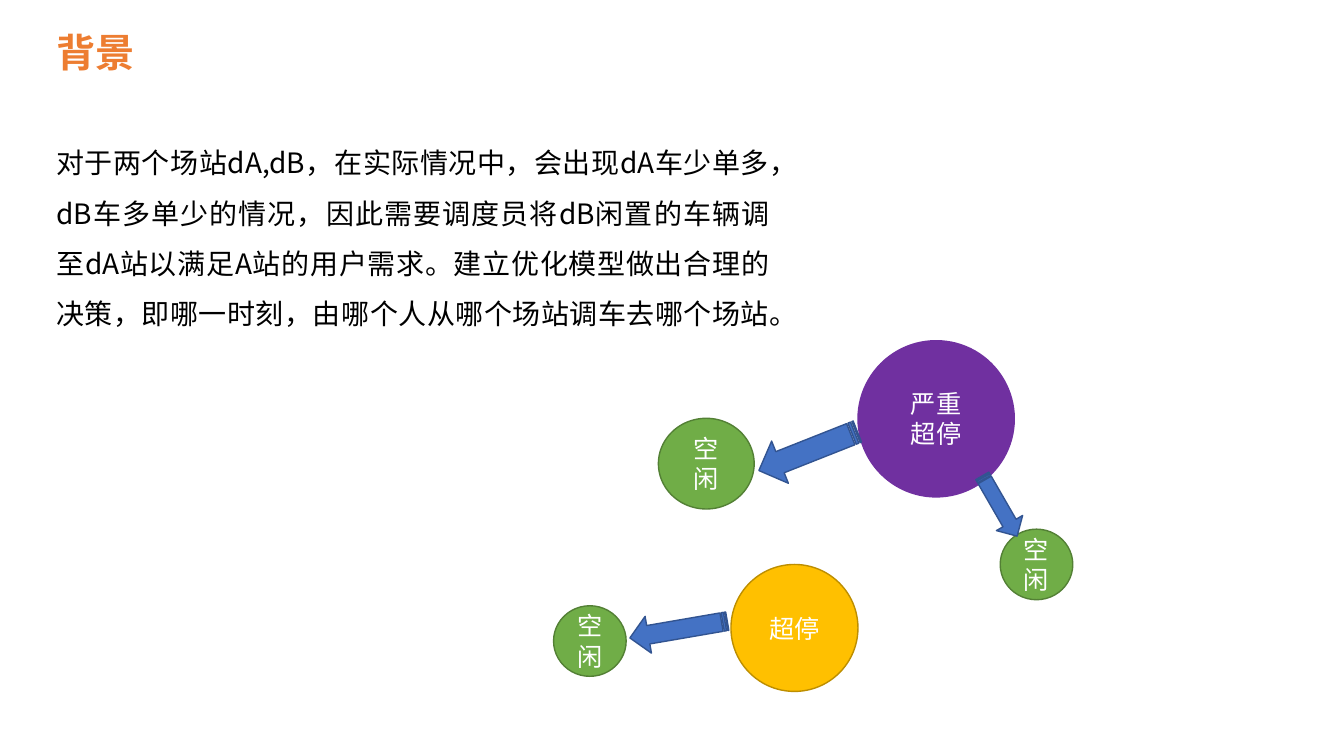
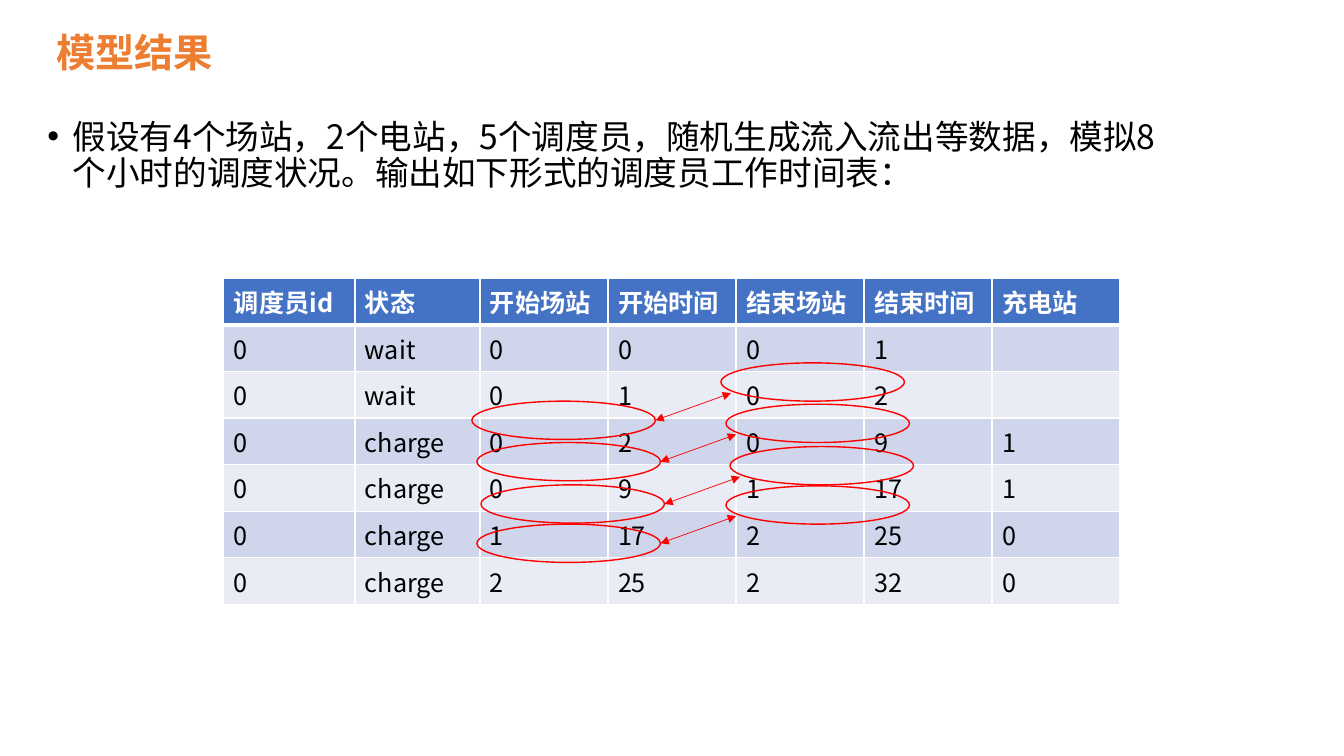
"""Build two slides on vehicle dispatching between stations."""
from dataclasses import dataclass

from lxml.etree import SubElement
from pptx import Presentation
from pptx.dml.color import RGBColor
from pptx.enum.shapes import MSO_CONNECTOR as Connector, MSO_SHAPE as Shape
from pptx.enum.text import MSO_ANCHOR as Anchor, MSO_AUTO_SIZE as AutoSize, PP_ALIGN as Align
from pptx.oxml.ns import qn
from pptx.util import Inches, Pt


@dataclass(frozen=True)
class Theme:
    font: str = "Noto Sans CJK SC"
    title: str = "ED7D31"
    ink: str = "000000"
    white: str = "FFFFFF"
    blue: str = "4472C4"
    blue_edge: str = "325491"
    green: str = "70AD47"
    green_edge: str = "538035"
    purple: str = "7030A0"
    amber: str = "FFC000"
    amber_edge: str = "BD8E00"
    red: str = "FF0000"
    bands: tuple = ("E9EBF5", "CFD5EA")
    title_size: int = 28
    bullet_size: int = 24
    body_size: int = 20
    label_size: int = 18


THEME = Theme()
TITLE_BOX = (0.46, 0.23, 10.79, 0.62)

BACKGROUND = "背景"
BACKGROUND_TEXT = (
    "对于两个场站dA,dB，在实际情况中，会出现dA车少单多，dB车多单少的情况，"
    "因此需要调度员将dB闲置的车辆调至dA站以满足A站的用户需求。"
    "建立优化模型做出合理的决策，即哪一时刻，由哪个人从哪个场站调车去哪个场站。"
)
IDLE = ("空闲", THEME.green, THEME.green_edge)
STATIONS = [
    (("严重\n超停", THEME.purple, THEME.purple), (8.51, 3.38, 1.55, 1.55)),
    (IDLE, (9.92, 5.25, 0.72, 0.7)),
    (("超停", THEME.amber, THEME.amber_edge), (7.25, 5.6, 1.26, 1.26)),
    (IDLE, (6.53, 4.15, 0.95, 0.9)),
    (IDLE, (5.49, 6.01, 0.72, 0.7)),
]
TRANSFERS = [
    ((6.24, 6.06, 0.98, 0.37), 170.2),
    ((7.49, 4.25, 1.05, 0.45), 158.4),
    ((9.57, 4.87, 0.69, 0.3), 60),
]

RESULTS = "模型结果"
RESULTS_TEXT = (
    "假设有4个场站，2个电站，5个调度员，随机生成流入流出等数据，"
    "模拟8个小时的调度状况。输出如下形式的调度员工作时间表："
)
SCHEDULE = [
    ("调度员id", "状态", "开始场站", "开始时间", "结束场站", "结束时间", "充电站"),
    ("0", "wait", "0", "0", "0", "1", ""),
    ("0", "wait", "0", "1", "0", "2", ""),
    ("0", "charge", "0", "2", "0", "9", "1"),
    ("0", "charge", "0", "9", "1", "17", "1"),
    ("0", "charge", "1", "17", "2", "25", "0"),
    ("0", "charge", "2", "25", "2", "32", "0"),
]
COLUMN_WIDTHS = [1.3, 1.24] + [1.27] * 5
ROW_HEIGHT = 0.41
TABLE_CORNER = (2.22, 2.76)
START_MARKS = [(4.68, 3.98), (4.73, 4.39), (4.77, 4.81), (4.73, 5.2)]
MARK_SIZE = (1.82, 0.38)
END_SHIFT = (2.47, -0.38)
LINK_SPAN = (0.75, -0.27)


def inches(values):
    return [Inches(value) for value in values]


def write(frame, text, *, size, color=THEME.ink, bold=False, align=Align.LEFT,
          spacing=1.0, before=0):
    frame.word_wrap = True
    for index, line in enumerate(text.split("\n")):
        paragraph = frame.paragraphs[0] if index == 0 else frame.add_paragraph()
        paragraph.alignment = align
        paragraph.line_spacing = spacing
        paragraph.space_before = Pt(before)
        run = paragraph.add_run()
        run.text = line
        font = run.font
        font.size, font.bold, font.name = Pt(size), bold, THEME.font
        font.color.rgb = RGBColor.from_string(color)
        SubElement(font._element, qn("a:ea")).set("typeface", THEME.font)


def place(placeholder, box, anchor):
    placeholder.left, placeholder.top, placeholder.width, placeholder.height = inches(box)
    placeholder.text_frame.auto_size = AutoSize.NONE
    placeholder.text_frame.vertical_anchor = anchor
    return placeholder.text_frame


def add_titled_slide(deck, layout, title):
    slide = deck.slides.add_slide(deck.slide_layouts[layout])
    write(place(slide.shapes.title, TITLE_BOX, Anchor.MIDDLE), title,
          size=THEME.title_size, color=THEME.title, bold=True, spacing=0.9)
    return slide


def draw(shapes, kind, box, edge, fill=None):
    shape = shapes.add_shape(kind, *inches(box))
    shape.shadow.inherit = False
    if fill:
        shape.fill.solid()
        shape.fill.fore_color.rgb = RGBColor.from_string(fill)
    else:
        shape.fill.background()
    shape.line.color.rgb = RGBColor.from_string(edge)
    shape.line.width = Pt(1)
    return shape


def add_link(shapes, start, end):
    link = shapes.add_connector(Connector.STRAIGHT, *inches(start + end))
    link.line.color.rgb = RGBColor.from_string(THEME.red)
    link.line.width = Pt(0.5)
    outline = link.line._get_or_add_ln()
    for tip in ("a:headEnd", "a:tailEnd"):
        SubElement(outline, qn(tip)).set("type", "triangle")
    SubElement(link._element.spPr, qn("a:effectLst"))


def add_borders(cell, header):
    properties = cell._tc.get_or_add_tcPr()
    for side in ("L", "R", "T", "B"):
        width = 3 if header and side == "B" else 1
        border = SubElement(properties, qn(f"a:ln{side}"), w=str(Pt(width)))
        fill = SubElement(border, qn("a:solidFill"))
        SubElement(fill, qn("a:srgbClr")).set("val", THEME.white)


def add_schedule(slide):
    size = (sum(COLUMN_WIDTHS), ROW_HEIGHT * len(SCHEDULE))
    table = slide.shapes.add_table(len(SCHEDULE), len(COLUMN_WIDTHS),
                                   *inches(TABLE_CORNER + size)).table
    for column, width in zip(table.columns, COLUMN_WIDTHS):
        column.width = Inches(width)
    for row, entries in enumerate(SCHEDULE):
        header = row == 0
        table.rows[row].height = Inches(ROW_HEIGHT)
        for column, entry in enumerate(entries):
            cell = table.cell(row, column)
            add_borders(cell, header)
            cell.fill.solid()
            cell.fill.fore_color.rgb = RGBColor.from_string(
                THEME.blue if header else THEME.bands[row % 2])
            write(cell.text_frame, entry, size=THEME.label_size, bold=header,
                  color=THEME.white if header else THEME.ink)


def add_handover(slide, left, top):
    shapes = slide.shapes.add_group_shape().shapes
    width, height = MARK_SIZE
    for x, y in ((left + END_SHIFT[0], top + END_SHIFT[1]), (left, top)):
        draw(shapes, Shape.OVAL, (x, y, width, height), THEME.red)
    start = (left + width, top + height / 2)
    add_link(shapes, start, (start[0] + LINK_SPAN[0], start[1] + LINK_SPAN[1]))


def build_background(deck):
    slide = add_titled_slide(deck, 5, BACKGROUND)
    story = slide.shapes.add_textbox(*inches((0.46, 1.23, 7.27, 2.12))).text_frame
    write(story, BACKGROUND_TEXT, size=THEME.body_size, align=Align.JUSTIFY, spacing=1.5)
    story.auto_size = AutoSize.SHAPE_TO_FIT_TEXT
    for (label, fill, edge), box in STATIONS:
        station = draw(slide.shapes, Shape.OVAL, box, edge, fill)
        write(station.text_frame, label, size=THEME.label_size,
              color=THEME.white, align=Align.CENTER)
    for box, angle in TRANSFERS:
        arrow = draw(slide.shapes, Shape.STRIPED_RIGHT_ARROW, box, THEME.blue_edge, THEME.blue)
        arrow.rotation = angle


def build_results(deck):
    slide = add_titled_slide(deck, 1, RESULTS)
    summary = place(slide.placeholders[1], (0.37, 1.14, 11.4, 0.98), Anchor.TOP)
    write(summary, RESULTS_TEXT, size=THEME.bullet_size, spacing=0.9, before=10)
    indent = summary.paragraphs[0]._p.get_or_add_pPr()
    indent.set("marL", str(Inches(0.25)))
    indent.set("indent", str(Inches(-0.25)))
    add_schedule(slide)
    for left, top in START_MARKS:
        add_handover(slide, left, top)


def main():
    deck = Presentation()
    deck.slide_width, deck.slide_height = inches((13.33, 7.5))
    build_background(deck)
    build_results(deck)
    deck.save("out.pptx")


if __name__ == "__main__":
    main()
